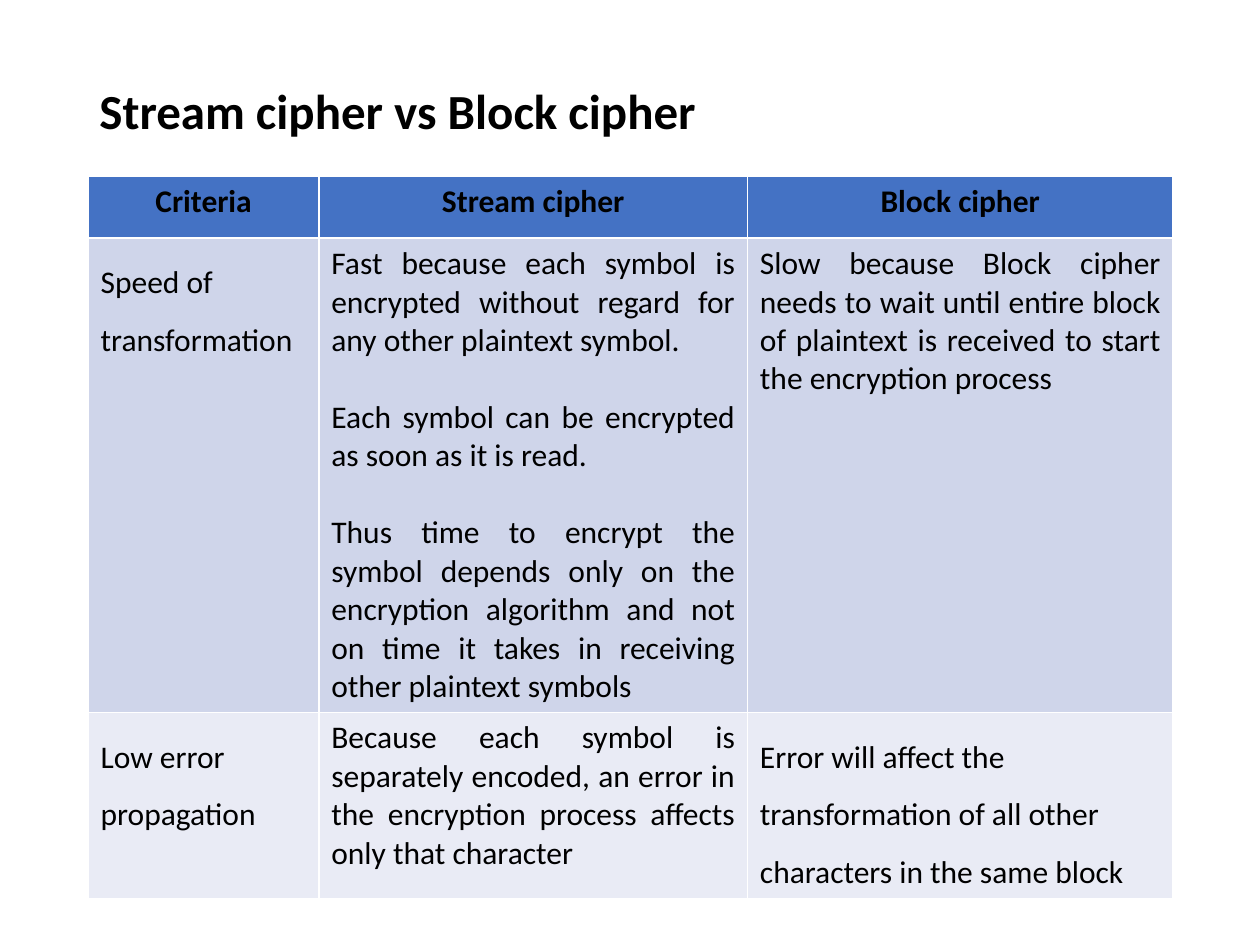
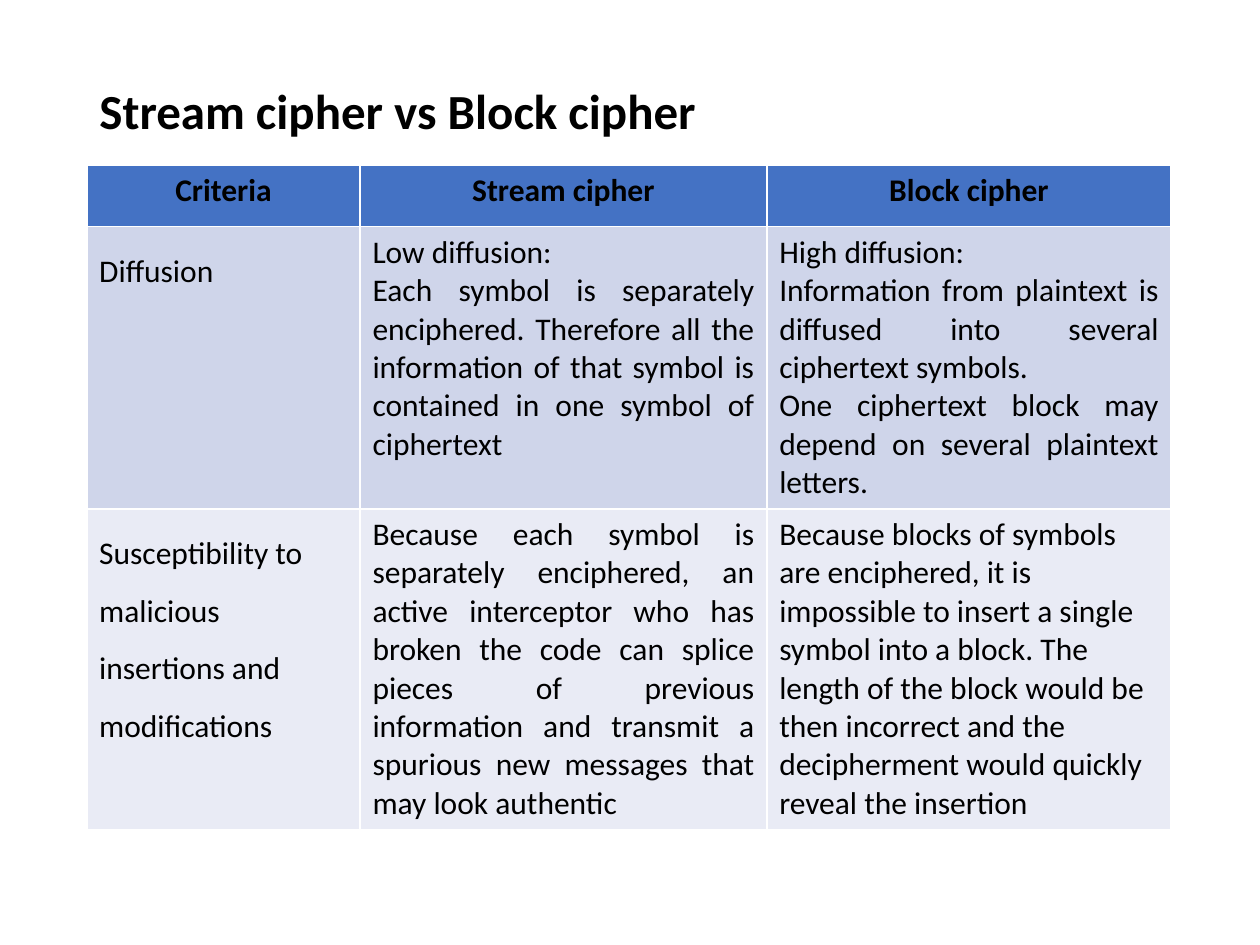
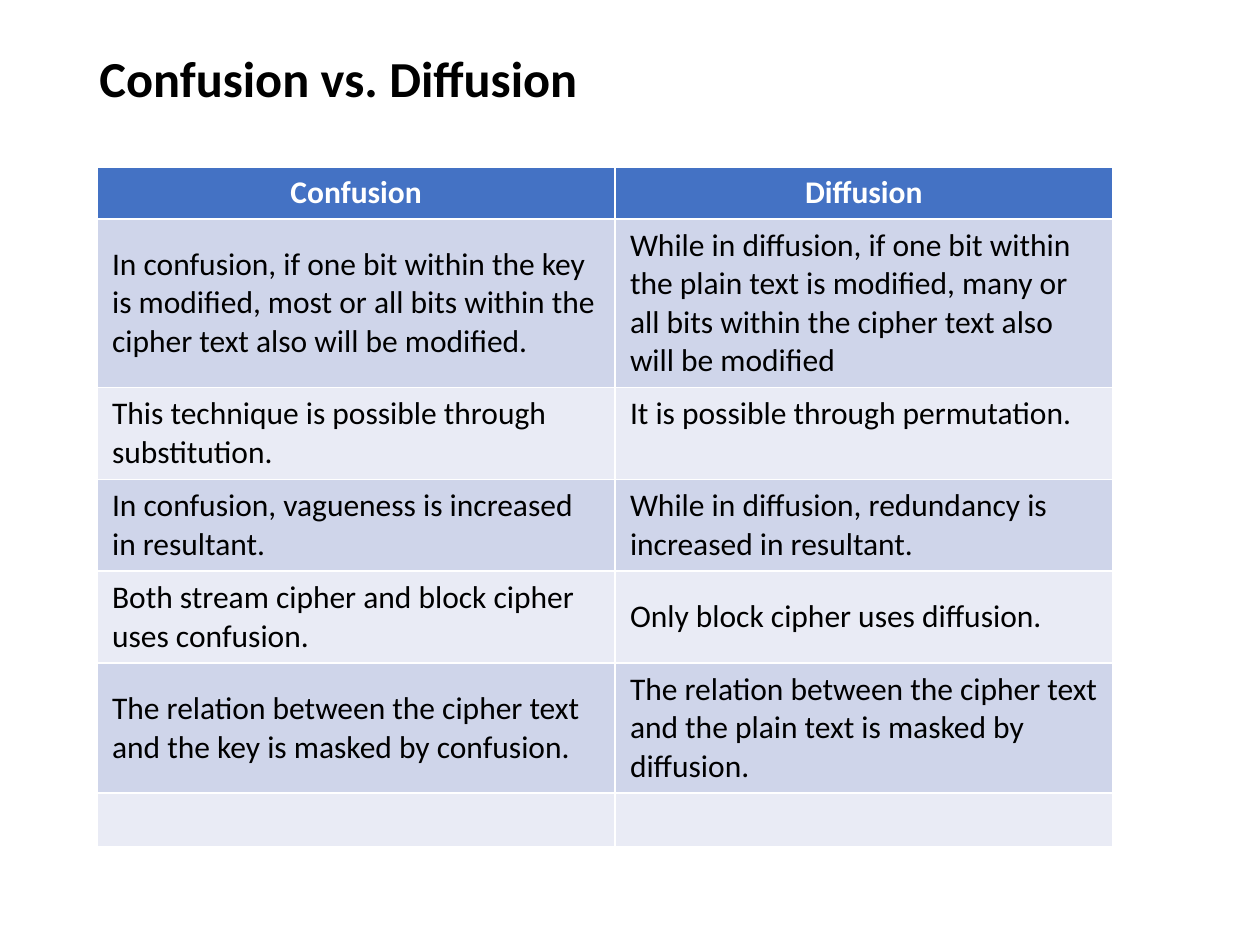
from pptx import Presentation
from pptx.dml.color import RGBColor
from pptx.enum import text
from pptx.util import Cm, Pt

FONT = "Calibri"
BLACK, WHITE = "000000", "FFFFFF"
HEADER, BANDS = "4472C4", ("CFD5EA", "E9EBF5")
LEFT, CENTER, JUSTIFY = text.PP_ALIGN.LEFT, text.PP_ALIGN.CENTER, text.PP_ALIGN.JUSTIFY
TOP, MIDDLE = text.MSO_ANCHOR.TOP, text.MSO_ANCHOR.MIDDLE

# Cell styles: alignment, line spacing, space between paragraphs, anchor
STYLES = {
    "head": (CENTER, 1, 0, TOP),
    "left": (LEFT, 1, 0, TOP),
    "loose": (LEFT, 1.5, 0, TOP),
    "just": (JUSTIFY, 1, 0, TOP),
    "gaps": (JUSTIFY, 1, 22, TOP),
    "mid": (LEFT, 1, 0, MIDDLE),
}


def color(hex_string):
    return RGBColor.from_string(hex_string)


def format_paragraph(p, size, hex_string, bold, align, spacing):
    p.font.name, p.font.size, p.font.bold = FONT, Pt(size), bold
    p.font.color.rgb = color(hex_string)
    p.alignment, p.line_spacing = align, spacing


# Content: each cell is a style followed by its paragraphs
cipher_header = [("head", "Criteria"), ("head", "Stream cipher"), ("head", "Block cipher")]
slides = [
    dict(
        title="Stream cipher vs Block cipher", title_size=28, title_height=2.54,
        left=1.78, top=3.56, widths=[4.65, 8.64, 8.58], heights=[1.24, 9.55, 3.75],
        header_color=BLACK, margins=(0.25, 0.13),
        rows=[
            cipher_header,
            [("loose", "Speed of transformation"),
             ("gaps", "Fast because each symbol is encrypted without regard for any other plaintext symbol.",
              "Each symbol can be encrypted as soon as it is read.",
              "Thus time to encrypt the symbol depends only on the encryption algorithm and not on "
              "time it takes in receiving other plaintext symbols"),
             ("just", "Slow because Block cipher needs to wait until entire block of plaintext is "
              "received to start the encryption process")],
            [("loose", "Low error propagation"),
             ("just", "Because each symbol is separately encoded, an error in the encryption process "
              "affects only that character"),
             ("loose", "Error will affect the transformation of all other characters in the same block")],
        ]),
    dict(
        title="Stream cipher vs Block cipher", title_size=28, title_height=2.54,
        left=1.75, top=3.33, widths=[5.51, 8.2, 8.15], heights=[1.24, 5.67, 6.44],
        header_color=BLACK, margins=(0.25, 0.13),
        rows=[
            cipher_header,
            [("loose", "Diffusion"),
             ("just", "Low diffusion:",
              "Each symbol is separately enciphered. Therefore all the information of that symbol is "
              "contained in one symbol of ciphertext"),
             ("just", "High diffusion:",
              "Information from plaintext is diffused into several ciphertext symbols.",
              "One ciphertext block may depend on several plaintext letters.")],
            [("loose", "Susceptibility to malicious insertions and modifications"),
             ("just", "Because each symbol is separately enciphered, an active interceptor who has "
              "broken the code can splice pieces of previous information and transmit a spurious new "
              "messages that may look authentic"),
             ("left", "Because blocks of symbols are enciphered, it is impossible to insert a single "
              "symbol into a block. The length of the block would be then incorrect and the "
              "decipherment would quickly reveal the insertion")],
        ]),
    dict(
        title="Confusion vs. Diffusion", title_size=28.8, title_height=1.24,
        left=1.96, top=3.38, widths=[10.44, 10.03],
        heights=[1.03, 3.4, 1.84, 1.84, 1.84, 2.62, 1.03],
        header_color=WHITE, margins=(0.3, 0.15),
        rows=[
            [("head", "Confusion"), ("head", "Diffusion")],
            [("mid", "In confusion, if one bit within the key is modified, most or all bits within the "
              "cipher text also will be modified."),
             ("mid", "While in diffusion, if one bit within the plain text is modified, many or all bits "
              "within the cipher text also will be modified")],
            [("mid", "This technique is possible through substitution."),
             ("left", "It is possible through permutation.")],
            [("mid", "In confusion, vagueness is increased in resultant."),
             ("mid", "While in diffusion, redundancy is increased in resultant.")],
            [("mid", "Both stream cipher and block cipher uses confusion."),
             ("mid", "Only block cipher uses diffusion.")],
            [("mid", "The relation between the cipher text and the key is masked by confusion."),
             ("mid", "The relation between the cipher text and the plain text is masked by diffusion.")],
            [("left",), ("left",)],
        ]),
]

prs = Presentation()
prs.slide_width, prs.slide_height = Cm(25.4), Cm(19.05)

for data in slides:
    s = prs.slides.add_slide(prs.slide_layouts[5])

    # Title
    title = s.shapes.title
    title.left, title.top = Cm(1.75), Cm(1.02)
    title.width, title.height = Cm(21.9), Cm(data["title_height"])
    tf = title.text_frame
    tf.text = data["title"]
    tf.auto_size, tf.vertical_anchor = text.MSO_AUTO_SIZE.NONE, MIDDLE
    format_paragraph(tf.paragraphs[0], data["title_size"], BLACK, True, LEFT, 0.9)

    # Table; the default style draws the white rules
    rows, widths, heights = data["rows"], data["widths"], data["heights"]
    table = s.shapes.add_table(len(rows), len(widths), Cm(data["left"]), Cm(data["top"]),
                               Cm(sum(widths)), Cm(sum(heights))).table
    for column, width in zip(table.columns, widths):
        column.width = Cm(width)
    for i, (row, height) in enumerate(zip(rows, heights)):
        table.rows[i].height = Cm(height)
        is_header = i == 0
        for j, (style, *paragraphs) in enumerate(row):
            align, spacing, gap, anchor = STYLES[style]
            cell = table.cell(i, j)
            cell.fill.solid()
            cell.fill.fore_color.rgb = color(HEADER if is_header else BANDS[(i - 1) % 2])
            cell.vertical_anchor = anchor
            if not is_header:
                side, edge = data["margins"]
                cell.margin_left = cell.margin_right = Cm(side)
                cell.margin_top = cell.margin_bottom = Cm(edge)
            cell.text = "\n".join(paragraphs)
            for k, p in enumerate(cell.text_frame.paragraphs):
                format_paragraph(p, 18, data["header_color"] if is_header else BLACK,
                                 is_header, align, spacing)
                p.space_before = Pt(gap if k else 0)

prs.save("out.pptx")
